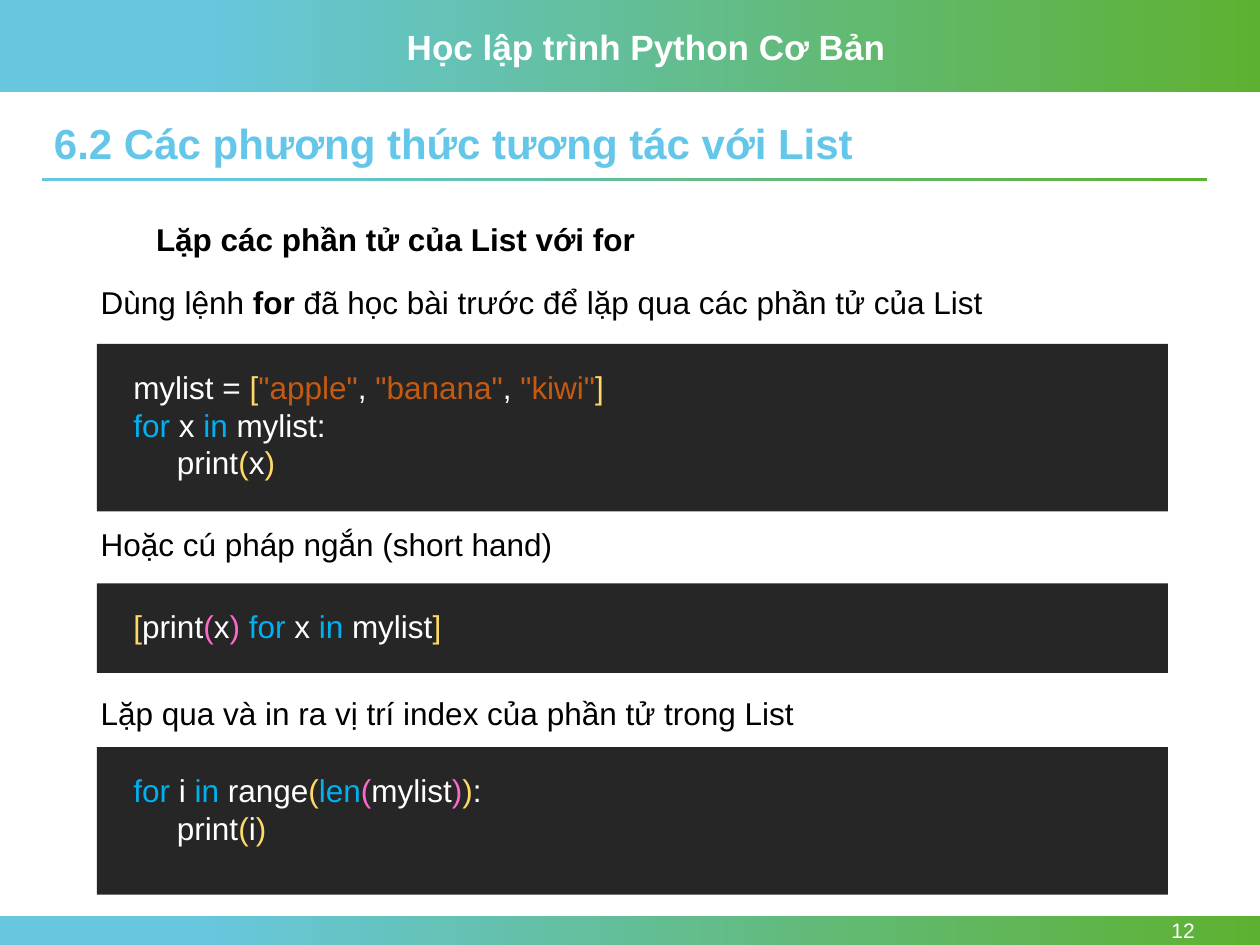
from pptx import Presentation
from pptx.dml.color import RGBColor
from pptx.enum.shapes import MSO_SHAPE
from pptx.enum.text import MSO_ANCHOR, PP_ALIGN
from pptx.util import Inches, Pt

RECT = MSO_SHAPE.RECTANGLE
TOP, MIDDLE = MSO_ANCHOR.TOP, MSO_ANCHOR.MIDDLE
LEFT, RIGHT = PP_ALIGN.LEFT, PP_ALIGN.RIGHT

WHITE = RGBColor(0xFF, 0xFF, 0xFF)
BLACK = RGBColor(0x00, 0x00, 0x00)
SKY = RGBColor(0x67, 0xC7, 0xDF)
GREEN = RGBColor(0x5E, 0xB1, 0x30)
TITLE = RGBColor(0x64, 0xC7, 0xE9)
PANEL = RGBColor(0x26, 0x26, 0x26)
KEYWORD = RGBColor(0x00, 0xB0, 0xF0)
STRING = RGBColor(0xC5, 0x5A, 0x11)
OUTER = RGBColor(0xFF, 0xD9, 0x66)
INNER = RGBColor(0xFF, 0x66, 0xCC)

COLS, ROWS = 100, 75  # one grid cell is a tenth of an inch


class Deck:
    font = "Arial"
    size = 18

    def __init__(self):
        self.prs = Presentation()
        self.prs.slide_width, self.prs.slide_height = Inches(10), Inches(7.5)
        self.s = self.prs.slides.add_slide(self.prs.slide_layouts[6])

    def box(self, x, y, w, h):
        """Turn grid columns and rows into slide lengths."""
        col = self.prs.slide_width / COLS
        row = self.prs.slide_height / ROWS
        return round(x * col), round(y * row), round(w * col), round(h * row)

    def rect(self, x, y, w, h):
        sp = self.s.shapes.add_shape(RECT, *self.box(x, y, w, h))
        sp.shadow.inherit = False
        sp.line.fill.background()
        return sp

    def gradient_bar(self, x, y, w, h):
        fill = self.rect(x, y, w, h).fill
        fill.gradient()
        fill.gradient_angle = 0
        for stop, (position, color) in zip(fill.gradient_stops, [(0.15, SKY), (1, GREEN)]):
            stop.position = position
            stop.color.rgb = color

    def text(self, x, y, w, h, lines, size=size, align=LEFT, anchor=TOP, spacing=None):
        """Each line is a list of (text, colour, bold) runs."""
        tf = self.s.shapes.add_textbox(*self.box(x, y, w, h)).text_frame
        tf.word_wrap = True
        tf.vertical_anchor = anchor
        for i, line in enumerate(lines):
            p = tf.add_paragraph() if i else tf.paragraphs[0]
            p.alignment = align
            p.line_spacing = spacing
            for content, color, bold in line:
                r = p.add_run()
                r.text = content
                r.font.name, r.font.size = self.font, Pt(size)
                r.font.bold, r.font.color.rgb = bold, color

    def label(self, x, y, w, h, content, color=BLACK, bold=False, **style):
        self.text(x, y, w, h, [[(content, color, bold)]], **style)

    def body(self, y, *runs):
        self.text(7, y, 84.2, 4, [[(content, BLACK, bold) for content, bold in runs]])

    def code(self, y, h, lines):
        """Dark panel with coloured tokens, each a (text, colour) pair."""
        panel = self.rect(7.7, y, 85, h)
        panel.fill.solid()
        panel.fill.fore_color.rgb = PANEL
        self.text(9.6, y + 1.4, 81, h - 2.8,
                  [[(token, color, False) for token, color in line] for line in lines])


def print_line(name):
    return [("     print", WHITE), ("(", OUTER), (name, WHITE), (")", OUTER)]


LOOP = [
    [("mylist = ", WHITE), ("[", OUTER), ('"apple"', STRING), (", ", WHITE),
     ('"banana"', STRING), (", ", WHITE), ('"kiwi"', STRING), ("]", OUTER)],
    [("for", KEYWORD), (" x ", WHITE), ("in ", KEYWORD), ("mylist:", WHITE)],
    print_line("x"),
]
SHORT_HAND = [
    [("[", OUTER), ("print", WHITE), ("(", INNER), ("x", WHITE), (") ", INNER),
     ("for", KEYWORD), (" x ", WHITE), ("in ", KEYWORD), ("mylist", WHITE), ("]", OUTER)],
]
INDEX_LOOP = [
    [("for ", KEYWORD), ("i ", WHITE), ("in ", KEYWORD), ("range", WHITE), ("(", OUTER),
     ("len", KEYWORD), ("(", INNER), ("mylist", WHITE), (")", INNER), (")", OUTER),
     (":", WHITE)],
    print_line("i"),
]


def main():
    deck = Deck()
    deck.gradient_bar(0, 0, COLS, 7.3)
    deck.gradient_bar(0, 72.7, COLS, 2.3)
    deck.gradient_bar(3.3, 14.1, 92.5, 0.25)
    deck.label(31.3, 1.5, 40, 4.4, "Học lập trình Python Cơ Bản", WHITE, True, size=20)
    deck.label(86.6, 72.7, 9.2, 2.3, "12", WHITE, size=12, align=RIGHT, anchor=MIDDLE)
    deck.label(3.3, 9.3, 92.5, 4.6, "6.2 Các phương thức tương tác với List",
               TITLE, True, size=24, spacing=0.9)
    deck.label(11.4, 17, 70.3, 4, "Lặp các phần tử của List với for", bold=True)

    deck.body(22, ("Dùng lệnh ", False), ("for ", True),
              ("đã học bài trước để lặp qua các phần tử của List", False))
    deck.code(27.3, 13.3, LOOP)
    deck.body(41.2, ("Hoặc cú pháp ngắn (short hand)", False))
    deck.code(46.3, 7.1, SHORT_HAND)
    deck.body(54.6, ("Lặp qua và in ra vị trí index của phần tử trong List", False))
    deck.code(59.3, 11.7, INDEX_LOOP)
    deck.prs.save("out.pptx")


if __name__ == "__main__":
    main()
